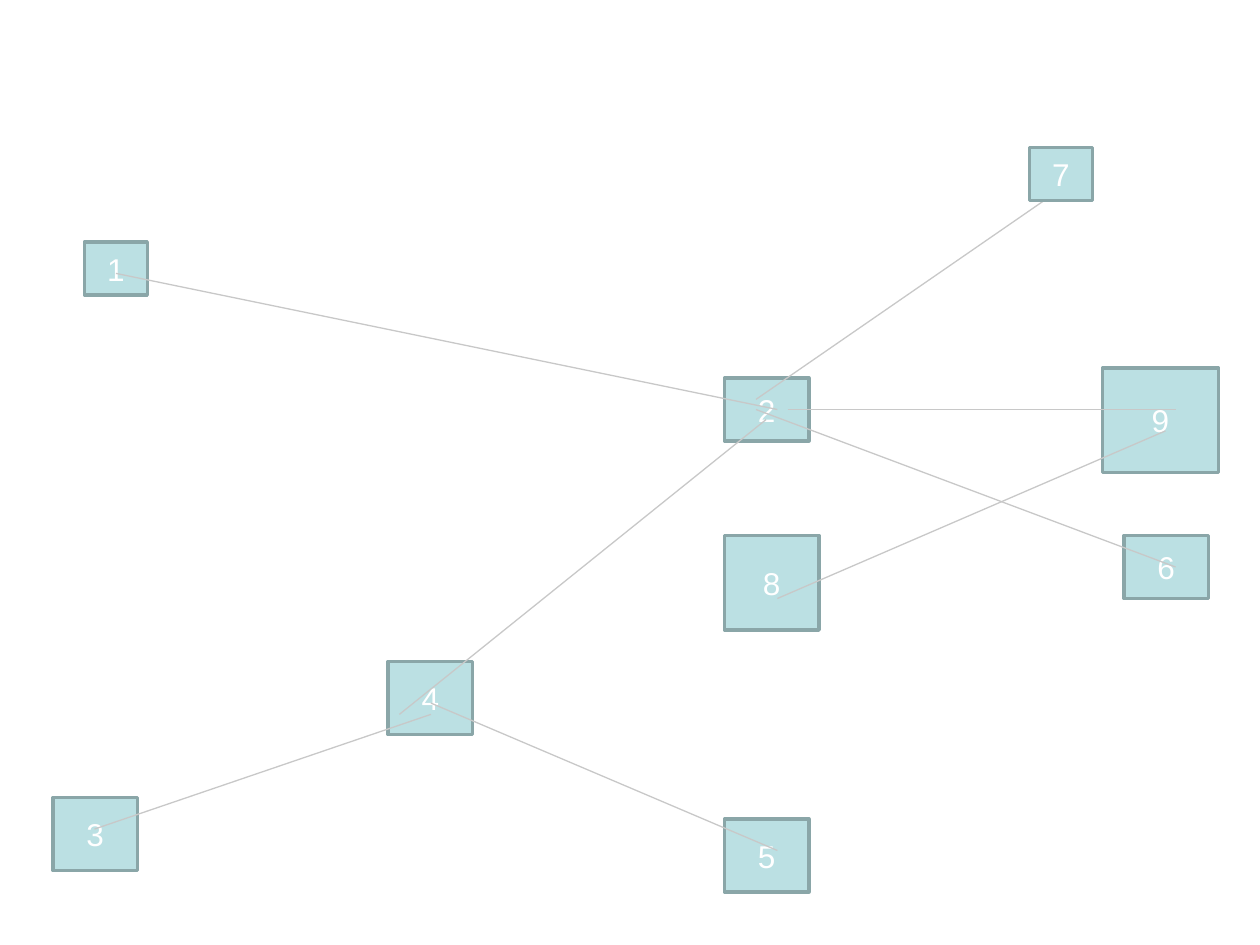
from dataclasses import dataclass

from lxml import etree
from pptx import Presentation
from pptx.dml.color import RGBColor
from pptx.enum.shapes import MSO_CONNECTOR, MSO_SHAPE
from pptx.enum.text import MSO_ANCHOR, PP_ALIGN
from pptx.oxml.ns import qn
from pptx.util import Inches, Pt

RECT = MSO_SHAPE.RECTANGLE
STRAIGHT = MSO_CONNECTOR.STRAIGHT
MIDDLE = MSO_ANCHOR.MIDDLE
CENTER = PP_ALIGN.CENTER


@dataclass(frozen=True)
class Theme:
    fill: RGBColor = RGBColor(0xBB, 0xE0, 0xE3)
    border: RGBColor = RGBColor(0x8A, 0xA6, 0xA8)
    link: RGBColor = RGBColor(0xC8, 0xC8, 0xC8)
    text: RGBColor = RGBColor(0xFF, 0xFF, 0xFF)
    font: str = "Arial"
    text_size: Pt = Pt(18)
    border_width: Pt = Pt(2)
    link_width: Pt = Pt(0.75)


THEME = Theme()

# Node sizes: width, height
SMALL = (0.5, 0.42)
WIDE = (0.67, 0.5)
TALL = (0.67, 0.58)
SQUARE = (0.75, 0.75)
LARGE = (0.92, 0.83)

# Label, left, top, size
NODES = [
    ("1", 0.67, 1.92, SMALL),
    ("2", 5.75, 3, WIDE),
    ("3", 0.42, 6.33, TALL),
    ("4", 3.08, 5.25, TALL),
    ("5", 5.75, 6.5, TALL),
    ("6", 8.92, 4.25, WIDE),
    ("8", 5.75, 4.25, SQUARE),
    ("9", 8.75, 2.92, LARGE),
]
# Node 7 lies over the end of its link
TOP_NODE = ("7", 8.17, 1.17, SMALL)

# Start, end
LINKS = [
    ((6, 3.17), (8.42, 1.5)),      # 2 to 7
    ((3.42, 5.67), (0.75, 6.58)),  # 4 to 3
    ((3.42, 5.58), (6.17, 6.75)),  # 4 to 5
    ((3.17, 5.67), (6.08, 3.33)),  # 4 to 2
    ((0.92, 2.17), (6.17, 3.25)),  # 1 to 2
    ((6.17, 4.75), (9.25, 3.42)),  # 8 to 9
    ((6, 3.25), (9.33, 4.5)),      # 2 to 6
    ((6.25, 3.25), (9.33, 3.25)),  # 2 to 9
]


def add_node(s, label, left, top, size):
    sp = s.shapes.add_shape(RECT, *map(Inches, (left, top, *size)))
    sp.name = f"Node {label}"
    sp.shadow.inherit = False
    sp.fill.solid()
    sp.fill.fore_color.rgb = THEME.fill
    sp.line.color.rgb = THEME.border
    sp.line.width = THEME.border_width
    tf = sp.text_frame
    tf.vertical_anchor = MIDDLE
    p = tf.paragraphs[0]
    p.alignment = CENTER
    r = p.add_run()
    r.text = label
    r.font.name = THEME.font
    r.font.size = THEME.text_size
    r.font.color.rgb = THEME.text


def add_link(s, start, end):
    line = s.shapes.add_connector(STRAIGHT, *map(Inches, (*start, *end)))
    line.line.color.rgb = THEME.link
    line.line.width = THEME.link_width
    etree.SubElement(line._element.spPr, qn("a:effectLst"))


def main():
    prs = Presentation()
    prs.slide_width, prs.slide_height = Inches(10), Inches(7.5)
    s = prs.slides.add_slide(prs.slide_layouts[6])
    for node in NODES:
        add_node(s, *node)
    for link in LINKS:
        add_link(s, *link)
    add_node(s, *TOP_NODE)
    prs.save("out.pptx")


if __name__ == "__main__":
    main()
